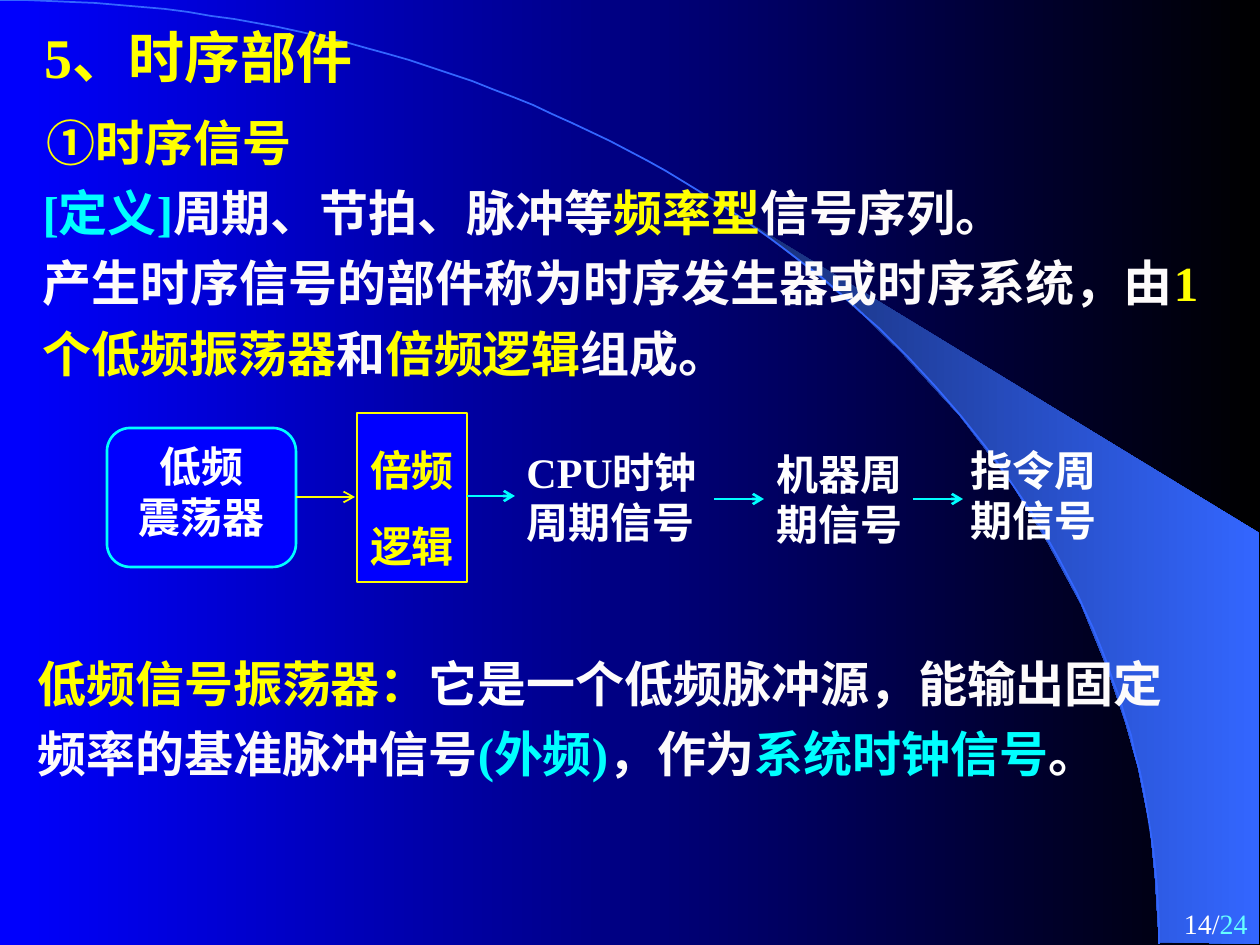
import pptx
import pptx.util
import pptx.dml.color
import pptx.enum.shapes
import pptx.enum.text
import pptx.oxml.ns
from lxml import etree

SCALE = 914400 / 126  # EMU in one px
SERIF, SANS = "Times New Roman", "Noto Sans CJK SC"

RGBColor = pptx.dml.color.RGBColor
BLUE = RGBColor(0x00, 0x00, 0xFF)
BLACK = RGBColor(0x00, 0x00, 0x00)
NAVY = RGBColor(0x18, 0x2F, 0x76)
SKY = RGBColor(0x33, 0x66, 0xFF)
YELLOW = RGBColor(0xFF, 0xFF, 0x00)
CYAN = RGBColor(0x00, 0xFF, 0xFF)
PALE_CYAN = RGBColor(0x66, 0xFF, 0xFF)
WHITE = RGBColor(0xFF, 0xFF, 0xFF)
OFF_WHITE = RGBColor(0xFD, 0xFB, 0xFB)

ALIGN = pptx.enum.text.PP_ALIGN
SHAPE = pptx.enum.shapes.MSO_SHAPE

WING = [(1159, 942), (1259, 944), (1259, 533), (742, 218), (786, 251), (823, 280),
        (863, 315), (902, 353), (960, 416), (1012, 484), (1048, 543), (1081, 604),
        (1106, 665), (1125, 721), (1138, 767), (1150, 827), (1155, 877)]
ARC = [(0, 0), (640, 0), (1159, 422), (1159, 944)]  # control points
ARC_STEPS = 80


def px(*lengths):
    return [round(length * SCALE) for length in lengths]


def add_element(parent, tag, **attributes):
    return etree.SubElement(parent, pptx.oxml.ns.qn(tag), attributes)


def shade(fill, start, end):
    """Gradient from left to right."""
    fill.gradient()
    fill.gradient_angle = 0
    for stop, color in zip(fill.gradient_stops, (start, end)):
        stop.color.rgb = color


def write(shape, paragraphs, size, font=SERIF, bold=True, align=ALIGN.LEFT,
          spacing=1.0, after=0, wrap=True):
    """Each paragraph is a list of (text, colour) or (text, colour, font)."""
    frame = shape.text_frame
    frame.word_wrap = wrap
    frame.auto_size = pptx.enum.text.MSO_AUTO_SIZE.NONE
    frame.vertical_anchor = pptx.enum.text.MSO_ANCHOR.TOP
    for index, pieces in enumerate(paragraphs):
        para = frame.add_paragraph() if index else frame.paragraphs[0]
        para.alignment = align
        para.line_spacing = spacing
        para.space_before = pptx.util.Pt(0)
        para.space_after = pptx.util.Pt(after)
        if shape.is_placeholder:
            properties = para._p.get_or_add_pPr()
            properties.set("marL", "0")
            properties.set("indent", "0")
            add_element(properties, "a:buNone")
        for text, color, *override in pieces:
            span = para.add_run()
            span.text = text
            span.font.size = pptx.util.Pt(size)
            span.font.bold = bold
            span.font.color.rgb = color
            span.font.name = override[0] if override else font
            add_element(span._r.get_or_add_rPr(), "a:ea", typeface=SANS)


def place(page, holder, bounds, paragraphs, size, **style):
    """Move a placeholder, bring it to the front and fill it."""
    holder.left, holder.top, holder.width, holder.height = px(*bounds)
    page.shapes.element.append(holder.element)
    write(holder, paragraphs, size, **style)


def add_text(page, bounds, paragraphs, size, **style):
    write(page.shapes.add_textbox(*px(*bounds)), paragraphs, size, **style)


def add_block(page, kind, bounds, color, lines, text_color, spacing=1.0):
    block = page.shapes.add_shape(kind, *px(*bounds))
    block.shadow.inherit = False
    block.fill.solid()
    block.fill.fore_color.rgb = BLUE
    block.line.color.rgb = color
    block.line.width = pptx.util.Pt(1.5)
    write(block, [[(line, text_color)] for line in lines], 24, font=SANS,
          align=ALIGN.CENTER, spacing=spacing, wrap=False)


def add_arrow(page, start, end, color, width):
    arrow = page.shapes.add_connector(
        pptx.enum.shapes.MSO_CONNECTOR.STRAIGHT, *px(*start, *end))
    arrow.line.color.rgb = color
    arrow.line.width = pptx.util.Pt(width)
    add_element(arrow.line._get_or_add_ln(), "a:tailEnd", type="arrow")
    add_element(arrow.element.spPr, "a:effectLst")


def add_outline(page, points, close):
    builder = page.shapes.build_freeform(*points[0], scale=SCALE)
    builder.add_line_segments(points[1:], close=close)
    outline = builder.convert_to_shape()
    outline.shadow.inherit = False
    return outline


def bezier(controls, steps):
    points = []
    for step in range(steps + 1):
        t = step / steps
        weights = ((1 - t) ** 3, 3 * t * (1 - t) ** 2, 3 * t * t * (1 - t), t ** 3)
        points.append(tuple(sum(w * c[axis] for w, c in zip(weights, controls))
                            for axis in (0, 1)))
    return points


def add_backdrop(page):
    shade(page.background.fill, BLUE, BLACK)
    wing = add_outline(page, WING, True)
    shade(wing.fill, NAVY, SKY)
    wing.line.fill.background()
    arc = add_outline(page, bezier(ARC, ARC_STEPS), False)
    arc.fill.background()
    arc.line.color.rgb = SKY
    arc.line.width = pptx.util.Pt(1)


def add_flow(page):
    add_block(page, SHAPE.FLOWCHART_ALTERNATE_PROCESS, (107, 428, 189, 139),
              CYAN, ("低频", "震荡器"), WHITE)
    add_block(page, SHAPE.RECTANGLE, (357, 413, 110, 169),
              YELLOW, ("倍频", "逻辑"), YELLOW, spacing=1.5)
    for left, top, width, label, font in (
            (514, 440, 210, "CPU时钟周期信号", SERIF),
            (764, 442, 189, "机器周期信号", SANS),
            (958, 438, 179, "指令周期信号", SANS)):
        add_text(page, (left, top, width, 113), [[(label, WHITE)]], 24, font=font)
    add_arrow(page, (296, 497), (355, 497), YELLOW, 1)
    for start, end, y in ((467, 515, 496), (714, 764, 499), (913, 963, 499)):
        add_arrow(page, (start, y), (end, y), CYAN, 1.5)


def main():
    deck = pptx.Presentation()
    deck.slide_width, deck.slide_height = px(1260, 945)
    page = deck.slides.add_slide(deck.slide_layouts[1])
    title, body = page.placeholders
    add_backdrop(page)

    # Headings and definition
    place(page, title, (32, 16, 470, 81), [[("5、时序部件", YELLOW)]], 32, after=8)
    place(page, body, (30, 164, 1181, 224), [
        [("[定义]", CYAN), ("周期、节拍、脉冲等", OFF_WHITE),
         ("频率型", YELLOW), ("信号序列。", OFF_WHITE)],
        [("产生时序信号的部件称为时序发生器或时序系统，由", OFF_WHITE),
         ("1个低频振荡器", YELLOW), ("和", OFF_WHITE),
         ("倍频逻辑", YELLOW), ("组成。", OFF_WHITE)],
    ], 28, align=ALIGN.JUSTIFY, spacing=1.2)
    add_text(page, (34, 106, 270, 72), [[("①时序信号", YELLOW)]], 28,
             font=SANS, wrap=False)

    # Signal chain
    add_flow(page)

    # Explanation and page number
    add_text(page, (25, 636, 1191, 152), [
        [("低频信号振荡器：", YELLOW), ("它是", WHITE),
         ("一个低频脉冲源，能输出固定频率的基准脉冲信号", OFF_WHITE),
         ("(外频)", CYAN, SERIF), ("，作为", OFF_WHITE),
         ("系统时钟信号", CYAN), ("。", WHITE)],
    ], 28, font=SANS, spacing=pptx.util.Pt(40))
    add_text(page, (998, 900, 262, 45), [[("14/", WHITE), ("24", PALE_CYAN)]], 16,
             bold=False, align=ALIGN.RIGHT)
    deck.save("out.pptx")


if __name__ == "__main__":
    main()
